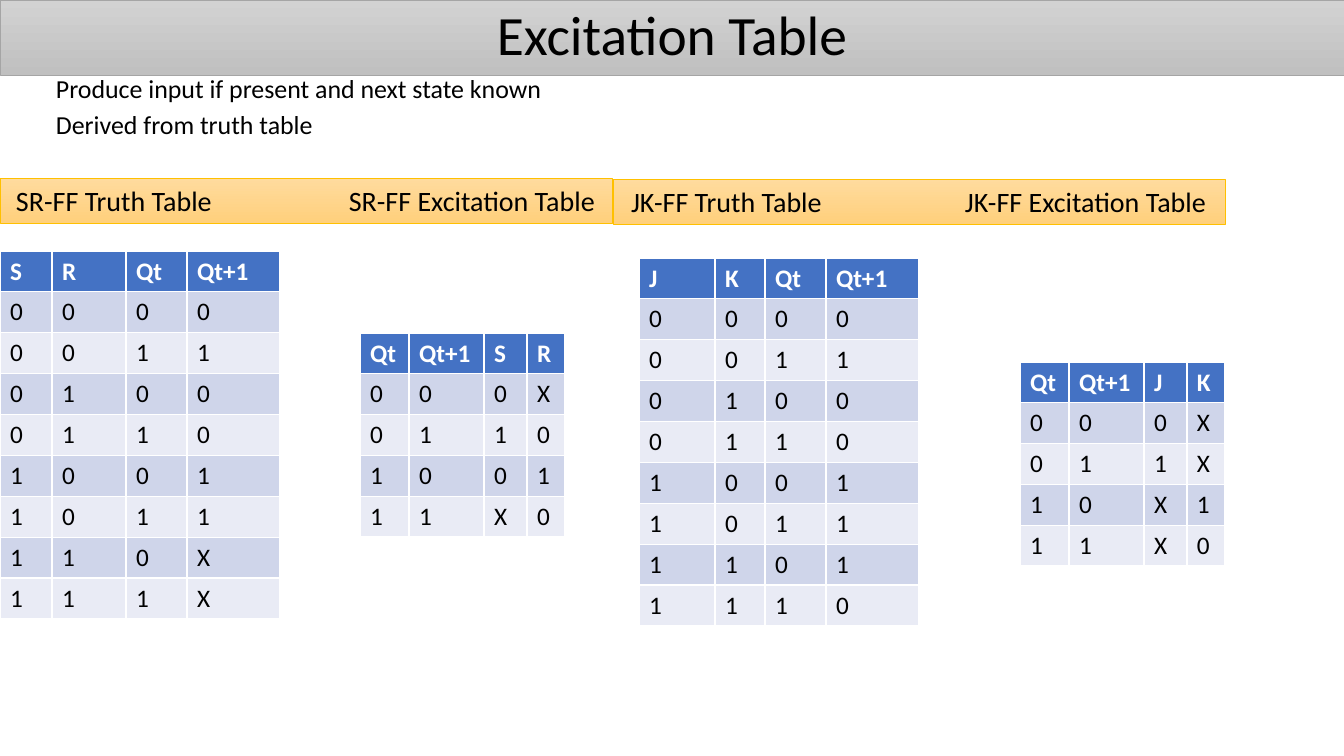
import pptx
import pptx.util
from pptx.dml.color import RGBColor
from pptx.enum.shapes import MSO_SHAPE
from pptx.enum.text import MSO_ANCHOR, PP_ALIGN
from pptx.oxml.ns import qn
import lxml.etree

PX = 12801600 // 1411.2  # EMU per px at 100.8 px to the inch
BLACK = RGBColor(0x00, 0x00, 0x00)
WHITE = RGBColor(0xFF, 0xFF, 0xFF)
GREY_TOP = RGBColor(0xD2, 0xD2, 0xD2)
GREY_BOTTOM = RGBColor(0xC0, 0xC0, 0xC0)
GREY_LINE = RGBColor(0xA5, 0xA5, 0xA5)
GOLD_TOP = RGBColor(0xFF, 0xDB, 0x9E)
GOLD_BOTTOM = RGBColor(0xFF, 0xD0, 0x7C)
GOLD_LINE = RGBColor(0xFF, 0xC0, 0x00)
HEADER = RGBColor(0x44, 0x72, 0xC4)
BANDS = [RGBColor(0xE9, 0xEB, 0xF5), RGBColor(0xCF, 0xD5, 0xEA)]


def px(n):
    return pptx.util.Emu(int(n * PX))


def write(p, text, size=18, color=BLACK, bold=False, align=PP_ALIGN.LEFT,
          line=None, before=None, right_tab=None):
    """Fill a paragraph with formatted text; right_tab is a tab stop in px."""
    if right_tab:
        tabs = lxml.etree.SubElement(p._p.get_or_add_pPr(), qn("a:tabLst"))
        lxml.etree.SubElement(tabs, qn("a:tab"), pos=str(px(right_tab)), algn="r")
    p.alignment = align
    p.line_spacing = line
    p.space_before = before
    r = p.add_run()
    r.text = text
    r.font.name = "Calibri"
    r.font.size = pptx.util.Pt(size)
    r.font.bold = bold
    r.font.color.rgb = color


prs = pptx.Presentation()
prs.slide_width, prs.slide_height = px(1344), px(756)
s = prs.slides.add_slide(prs.slide_layouts[6])

# Title bar and the two heading bars
gold = (GOLD_TOP, GOLD_BOTTOM, GOLD_LINE)
bars = [
    (0, 0, 1344, 75, (GREY_TOP, GREY_BOTTOM, GREY_LINE), 10, "Excitation Table",
     dict(size=39.6, align=PP_ALIGN.CENTER, line=0.9)),
    (0, 178, 612, 45, gold, 16, "SR-FF Truth Table\tSR-FF Excitation Table",
     dict(size=20, right_tab=579)),
    (613, 179, 612, 45, gold, 18, "JK-FF Truth Table\tJK-FF Excitation Table",
     dict(size=20, right_tab=575)),
]
for x, y, w, h, (top, bottom, edge), margin, text, fmt in bars:
    sp = s.shapes.add_shape(MSO_SHAPE.RECTANGLE, px(x), px(y), px(w), px(h))
    sp.shadow.inherit = False
    sp.fill.gradient()
    sp.fill.gradient_angle = 270
    for stop, color in zip(sp.fill.gradient_stops, (top, bottom)):
        stop.color.rgb = color
    sp.line.color.rgb = edge
    sp.line.width = pptx.util.Pt(0.5)
    tf = sp.text_frame
    tf.vertical_anchor = MSO_ANCHOR.MIDDLE
    tf.margin_left = px(margin)
    tf.margin_right = px(10)
    write(tf.paragraphs[0], text, **fmt)

# Introduction
tf = s.shapes.add_textbox(px(46), px(76), px(540), px(75)).text_frame
tf.word_wrap = True
write(tf.paragraphs[0], "Produce input if present and next state known", size=18.5, line=0.7)
write(tf.add_paragraph(), "Derived from truth table", size=18.5, line=0.7,
      before=pptx.util.Pt(10))

# Truth tables list all eight inputs in order; excitation tables list all four transitions
inputs = [f"{i:03b}" for i in range(8)]
transitions = [f"{i:02b}" for i in range(4)]
tables = [
    (0, 251, 368, [52, 74, 61, 93], ["S", "R", "Qt", "Qt+1"],
     [a + b for a, b in zip(inputs, "010011XX")]),
    (360, 333, 204, [49, 75, 43, 38], ["Qt", "Qt+1", "S", "R"],
     [a + b for a, b in zip(transitions, ["0X", "10", "01", "X0"])]),
    (639, 258, 368, [76, 50, 61, 93], ["J", "K", "Qt", "Qt+1"],
     [a + b for a, b in zip(inputs, "01001110")]),
    (1020, 362, 204, [49, 75, 43, 38], ["Qt", "Qt+1", "J", "K"],
     [a + b for a, b in zip(transitions, ["0X", "1X", "X1", "X0"])]),
]
for x, y, h, widths, header, body in tables:
    rows = [header, *body]
    table = s.shapes.add_table(len(rows), len(widths), px(x), px(y),
                               px(sum(widths)), px(h)).table
    for column, width in zip(table.columns, widths):
        column.width = px(width)
    for i, row in enumerate(rows):
        for j, value in enumerate(row):
            cell = table.cell(i, j)
            cell.fill.solid()
            cell.fill.fore_color.rgb = BANDS[i % 2] if i else HEADER
            write(cell.text_frame.paragraphs[0], value,
                  color=BLACK if i else WHITE, bold=i == 0)

prs.save("out.pptx")
